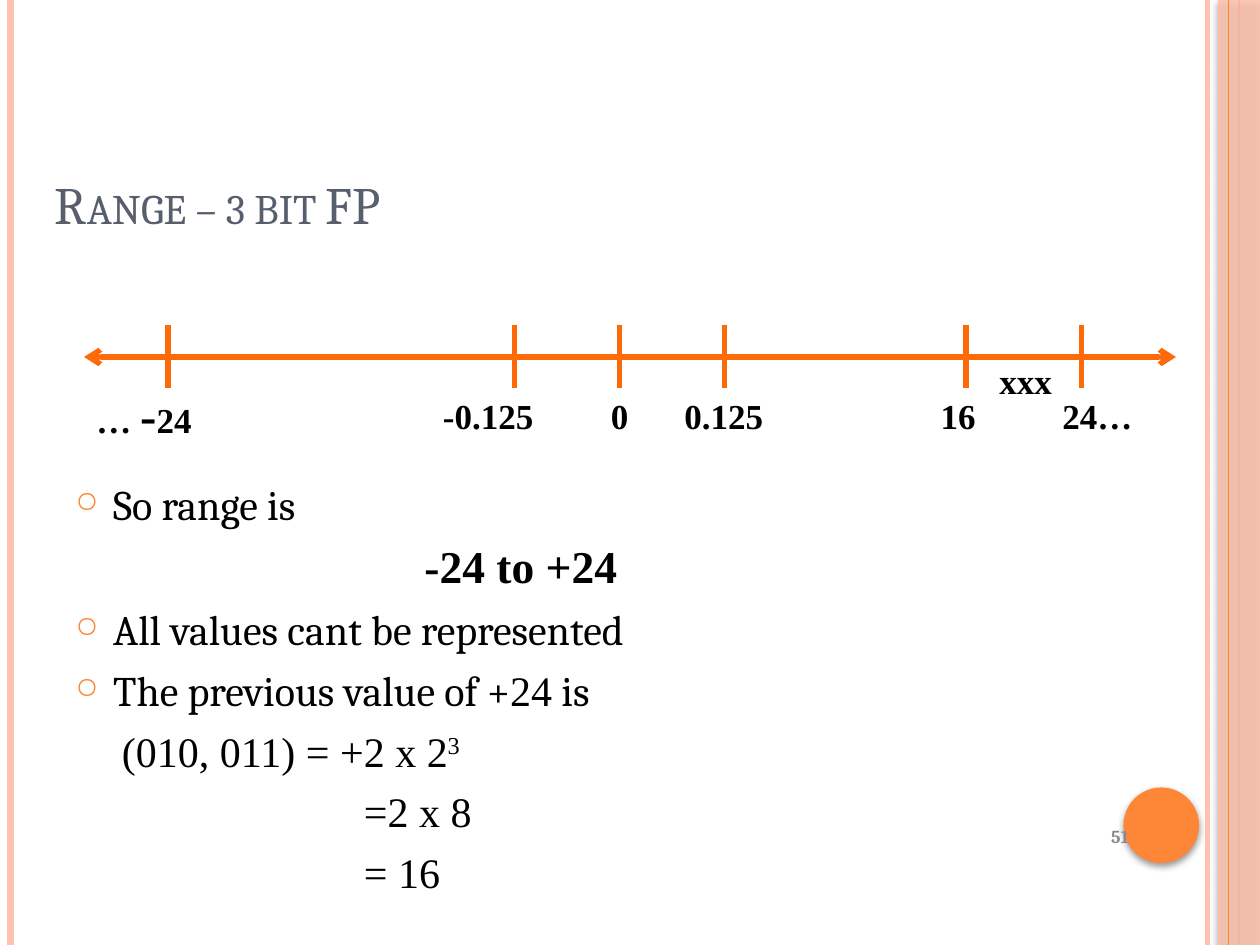
"""Build the slide on the range of a 3 bit floating point number."""
from dataclasses import dataclass

import lxml.etree
import pptx
import pptx.dml.color
import pptx.enum.shapes
import pptx.enum.text
import pptx.oxml.ns
import pptx.util

RGBColor = pptx.dml.color.RGBColor
Anchor = pptx.enum.text.MSO_ANCHOR
Align = pptx.enum.text.PP_ALIGN
ShapeKind = pptx.enum.shapes.MSO_SHAPE
qualified = pptx.oxml.ns.qn

WIDTH, HEIGHT = pptx.util.Inches(10), pptx.util.Inches(7.5)
COLUMNS, ROWS = 120, 90
PEACH = RGBColor(0xFE, 0xC2, 0xAE)
ORANGE = RGBColor(0xFE, 0x86, 0x37)
AXIS_ORANGE = RGBColor(0xFF, 0x6A, 0x09)
SLATE = RGBColor(0x57, 0x5F, 0x6D)
GRAY = RGBColor(0x8B, 0x8B, 0x8B)
BLACK = RGBColor(0, 0, 0)
SERIF, ROMAN = "Cambria", "Times New Roman"
AXIS_ROW, TICK_ROWS = 34, (31, 37)


@dataclass(frozen=True)
class Box:
    """A rectangle in grid columns and rows."""

    column: float
    row: float
    columns: float
    rows: float

    def emu(self) -> tuple[int, int, int, int]:
        """Return left, top, width and height."""
        return (across(self.column), down(self.row), across(self.columns), down(self.rows))


@dataclass(frozen=True)
class Run:
    """Text that shares one format."""

    text: str
    size: float = 24
    font: str = SERIF
    bold: bool = False
    superscript: bool = False


@dataclass(frozen=True)
class Line:
    """A body paragraph with its indent in inches."""

    runs: tuple[Run, ...]
    indent: float = 0.3
    bullet: bool = False
    space: float = 6


@dataclass(frozen=True)
class Label:
    """A text below the number line."""

    runs: tuple[Run, ...]
    box: Box


def across(columns: float) -> int:
    """Convert grid columns to a length."""
    return round(WIDTH * columns / COLUMNS)


def down(rows: float) -> int:
    """Convert grid rows to a length."""
    return round(HEIGHT * rows / ROWS)


def add_child(parent, tag: str, **attributes: str):
    """Append an XML element with attributes."""
    return lxml.etree.SubElement(parent, qualified(tag), attributes)


def bold_label(text: str, column: float, columns: float, row: float = 37) -> Label:
    """Make a label with one bold run."""
    return Label((Run(text, 20, ROMAN, True),), Box(column, row, columns, 5.2))


def add_run(paragraph, text: str, *, size: float, font: str, color: RGBColor = BLACK,
            bold: bool = False, superscript: bool = False, small_caps: bool = False) -> None:
    """Add formatted text to a paragraph."""
    run = paragraph.add_run()
    run.text = text
    run.font.size, run.font.name, run.font.bold = pptx.util.Pt(size), font, bold
    run.font.color.rgb = color
    properties = run.font._element
    if superscript:
        properties.set("baseline", "30000")
    if small_caps:
        properties.set("cap", "small")


def add_frame(slide, box: Box, anchor=Anchor.TOP):
    """Add a wrapping text box and return its frame."""
    frame = slide.shapes.add_textbox(*box.emu()).text_frame
    frame.word_wrap, frame.vertical_anchor = True, anchor
    return frame


def add_runs(paragraph, runs: tuple[Run, ...]) -> None:
    """Add each run to a paragraph."""
    for run in runs:
        add_run(paragraph, run.text, size=run.size, font=run.font,
                bold=run.bold, superscript=run.superscript)


def add_line(slide, start: tuple[float, float], end: tuple[float, float], color: RGBColor,
             weight: float, arrows: bool = False) -> None:
    """Draw a straight line between two grid points."""
    connector = slide.shapes.add_connector(
        pptx.enum.shapes.MSO_CONNECTOR.STRAIGHT,
        across(start[0]), down(start[1]), across(end[0]), down(end[1]))
    connector.line.color.rgb, connector.line.width = color, pptx.util.Pt(weight)
    if arrows:
        outline = connector.line._get_or_add_ln()
        for tag in ("a:headEnd", "a:tailEnd"):
            add_child(outline, tag, type="arrow")
    add_child(connector._element.spPr, "a:effectLst")


def add_decoration(slide, kind, box: Box, color: RGBColor, opacity: int = 100) -> None:
    """Draw a filled shape with a soft shadow below."""
    shape = slide.shapes.add_shape(kind, *box.emu())
    shape.fill.solid()
    shape.fill.fore_color.rgb = color
    shape.line.fill.background()
    shape.shadow.inherit = False
    properties = shape._element.spPr
    if opacity < 100:
        fill_color = properties.find(".//" + qualified("a:srgbClr"))
        add_child(fill_color, "a:alpha", val=str(opacity * 1000))
    shadow = add_child(properties.find(qualified("a:effectLst")), "a:outerShdw",
                       blurRad=str(pptx.util.Pt(4)), dist=str(pptx.util.Pt(2)),
                       dir="5400000", rotWithShape="0")
    add_child(add_child(shadow, "a:srgbClr", val=str(BLACK)), "a:alpha", val="40000")


def add_body(slide, box: Box, lines: tuple[Line, ...]) -> None:
    """Write the body paragraphs."""
    frame = add_frame(slide, box)
    for index, line in enumerate(lines):
        paragraph = frame.add_paragraph() if index else frame.paragraphs[0]
        properties = paragraph._p.get_or_add_pPr()
        properties.set("marL", str(pptx.util.Inches(line.indent)))
        if line.bullet:
            properties.set("indent", str(-pptx.util.Inches(line.indent)))
            add_child(add_child(properties, "a:buClr"), "a:srgbClr", val=str(ORANGE))
            add_child(properties, "a:buSzPct", val="70000")
            add_child(properties, "a:buChar", char="○")
        if index:
            paragraph.space_before = pptx.util.Pt(line.space)
        add_runs(paragraph, line.runs)


BODY = (
    Line((Run("So range is"),), bullet=True),
    Line((Run("-24 to +24", 26, ROMAN, True),), indent=2.77, space=5.2),
    Line((Run("All values cant be represented"),), bullet=True),
    Line((Run("The previous value of +"), Run("24", font=ROMAN), Run(" is")), bullet=True),
    Line((Run("(010, 011) = +2 x 2", font=ROMAN), Run("3", font=ROMAN, superscript=True)),
         indent=0.37),
    Line((Run("=2 x 8", font=ROMAN),), indent=2.29),
    Line((Run("= 16", font=ROMAN),), indent=2.29),
)
TICKS = (16, 49, 59, 69, 92, 103)
LABELS = (
    Label((Run("… ", 20, ROMAN, True), Run("-", 28, ROMAN, True), Run("24", 20, ROMAN, True)),
          Box(8, 36, 15, 6.7)),
    bold_label("-0.125", 41, 16), bold_label("0", 57, 6), bold_label("0.125", 64, 15),
    bold_label("16", 88.4, 7.4), bold_label("24…", 100, 15), bold_label("xxx", 94, 7.6, 33.6),
)


def main() -> None:
    """Build and save the slide."""
    presentation = pptx.Presentation()
    presentation.slide_width, presentation.slide_height = WIDTH, HEIGHT
    slide = presentation.slides.add_slide(presentation.slide_layouts[5])

    for column, color, weight in ((115, PEACH, 3), (1, PEACH, 4.5), (118, ORANGE, 1.5)):
        add_line(slide, (column, 0), (column, ROWS), color, weight)
    add_decoration(slide, ShapeKind.RECTANGLE, Box(116, 0, 4, ROWS), PEACH, 87)
    add_line(slide, (117, 0), (117, ROWS), ORANGE, 0.75)
    add_decoration(slide, ShapeKind.OVAL, Box(107, 75, 7.2, 7.2), ORANGE)

    title = slide.shapes.title
    title.left, title.top, title.width, title.height = Box(4, 9, 108, 14).emu()
    title.text_frame.vertical_anchor = Anchor.BOTTOM
    heading = title.text_frame.paragraphs[0]
    heading.alignment = Align.LEFT
    add_run(heading, "Range – 3 bit FP", size=30, font=SERIF, color=SLATE, small_caps=True)

    add_body(slide, Box(6, 45, 101.5, 41.3), BODY)
    number = add_frame(slide, Box(101.2, 77.2, 7.5, 4.8), Anchor.MIDDLE).paragraphs[0]
    number.alignment = Align.RIGHT
    add_run(number, "51", size=10.5, font=SERIF, color=GRAY, bold=True)

    add_line(slide, (8, AXIS_ROW), (112, AXIS_ROW), AXIS_ORANGE, 3, arrows=True)
    for column in TICKS:
        add_line(slide, (column, TICK_ROWS[0]), (column, TICK_ROWS[1]), AXIS_ORANGE, 3)
    for label in LABELS:
        add_runs(add_frame(slide, label.box).paragraphs[0], label.runs)
    presentation.save("out.pptx")


if __name__ == "__main__":
    main()
